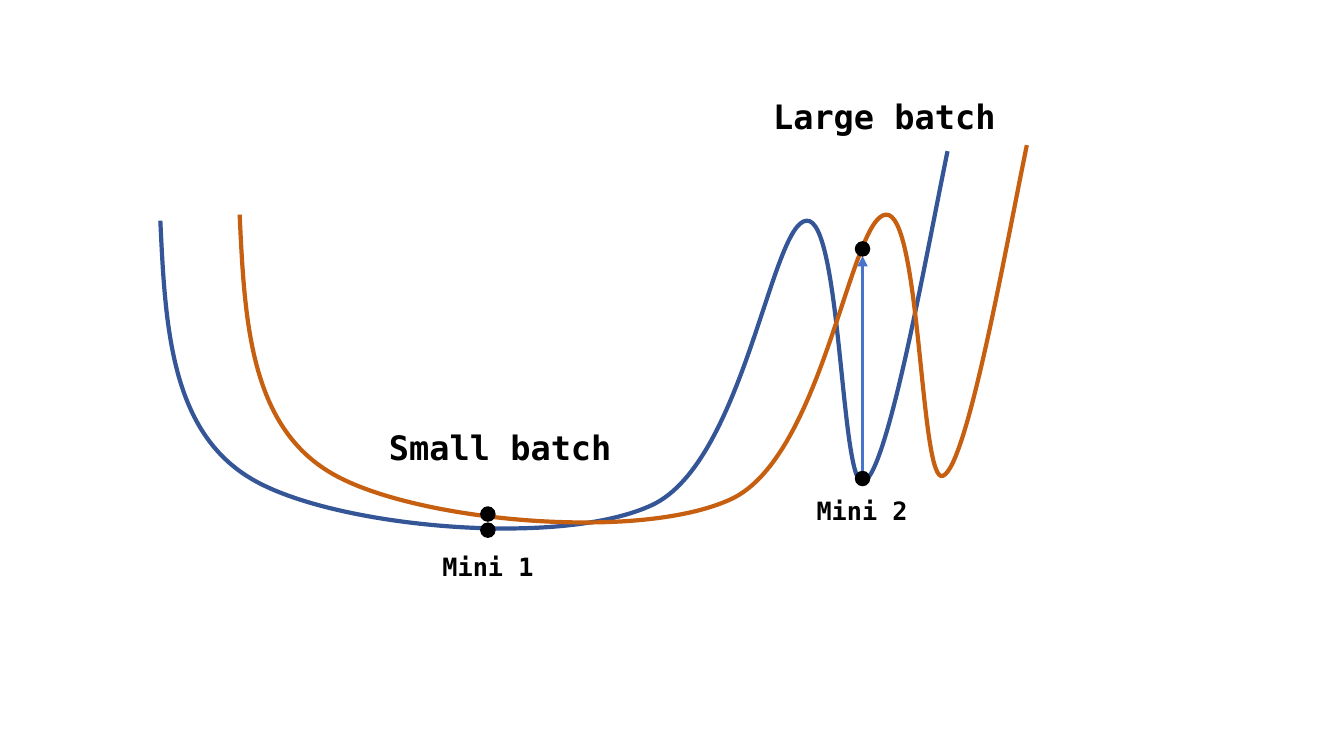
import dataclasses

import lxml.etree
import pptx
import pptx.dml.color
import pptx.enum.shapes
import pptx.enum.text
import pptx.oxml.ns
import pptx.util

WIDE, HIGH = pptx.util.Inches(13.33), pptx.util.Inches(7.5)
FONT = "DejaVu Sans Mono"
INK = {"blue": "355696", "rust": "C65F10", "arrow": "4874CB", "black": "000000"}

# Loss curve: start point, then two handles and an end point per section.
# All places are percent of the slide's width and height.
CURVE = [
    (11.93, 29.2),
    (12.3, 43.2), (12.68, 57.2), (18.83, 63.47),
    (24.9, 69.73), (41.63, 72.53), (48.53, 66.8),
    (55.35, 61.07), (57.38, 29.6), (60, 29.2),
    (62.63, 28.67), (62.55, 65.33), (64.28, 63.73),
    (66.08, 62.27), (68.93, 33.6), (70.5, 20),
]
FRAME = [(11.93, 20), (70.5, 69.87)]  # corners the curve fills


@dataclasses.dataclass
class Trace:
    ink: str
    dx: float
    dy: float


@dataclasses.dataclass
class Dot:
    x: float
    y: float


@dataclasses.dataclass
class Label:
    text: str
    left: float
    top: float
    wide: float
    high: float
    size: int


TRACES = [Trace("blue", 0, 0), Trace("rust", 5.9, -0.8)]
LOW, PEAK = Dot(64.18, 63.3), Dot(64.18, 32.93)
DOTS = [Dot(36.3, 70.13), LOW, Dot(36.3, 68)]
SIZE = 1.05  # dot diameter, percent of width
LABELS = [
    Label("Mini 1", 32.18, 72.25, 8.33, 5.33, 18),
    Label("Mini 2", 60.02, 64.88, 8.33, 5.33, 18),
    Label("Large batch", 56.78, 12.08, 18.15, 6.67, 24),
    Label("Small batch", 28.2, 55.87, 18.15, 6.67, 24),
]


def across(share: float) -> int:
    return round(WIDE * share / 100)


def down(share: float) -> int:
    return round(HIGH * share / 100)


def tint(name: str) -> pptx.dml.color.RGBColor:
    return pptx.dml.color.RGBColor.from_string(INK[name])


def stroke(line, name: str, width: float) -> None:
    line.color.rgb = tint(name)
    line.width = pptx.util.Pt(width)


def add_tag(parent, name: str, **attrs: str):
    return lxml.etree.SubElement(parent, pptx.oxml.ns.qn(name), attrs)


def place(trace: Trace, spots: list) -> list:
    return [(across(x + trace.dx), down(y + trace.dy)) for x, y in spots]


def bend(shape, knots: list) -> None:
    """Give the outline cubic sections through the knots."""
    route = next(shape.element.iter(pptx.oxml.ns.qn("a:path")))
    for child in list(route):
        route.remove(child)
    parts = [("a:moveTo", knots[:1])]
    parts += [("a:cubicBezTo", knots[i:i + 3]) for i in range(1, len(knots), 3)]
    for name, spots in parts:
        part = add_tag(route, name)
        for x, y in spots:
            add_tag(part, "a:pt", x=str(x - shape.left), y=str(y - shape.top))


def draw_trace(shapes, trace: Trace) -> None:
    start, end = place(trace, FRAME)
    pen = shapes.build_freeform(*start)
    pen.add_line_segments([end], close=False)
    shape = pen.convert_to_shape()
    bend(shape, place(trace, CURVE))
    shape.shadow.inherit = False
    shape.fill.background()
    stroke(shape.line, trace.ink, 3)


def draw_dot(shapes, dot: Dot) -> None:
    side = across(SIZE)
    shape = shapes.add_shape(
        pptx.enum.shapes.MSO_SHAPE.OVAL,
        across(dot.x) - side // 2, down(dot.y) - side // 2, side, side)
    shape.shadow.inherit = False
    shape.fill.solid()
    shape.fill.fore_color.rgb = tint("black")
    stroke(shape.line, "black", 1)


def draw_arrow(shapes, start: Dot, end: Dot) -> None:
    half = across(SIZE) // 2
    arrow = shapes.add_connector(
        pptx.enum.shapes.MSO_CONNECTOR.STRAIGHT,
        across(start.x), down(start.y) - half, across(end.x), down(end.y) + half)
    stroke(arrow.line, "arrow", 2.5)
    props = arrow.element.spPr
    add_tag(props.find(pptx.oxml.ns.qn("a:ln")), "a:tailEnd", type="triangle")
    add_tag(props, "a:effectLst")


def draw_label(shapes, label: Label) -> None:
    box = shapes.add_textbox(across(label.left), down(label.top),
                             across(label.wide), down(label.high))
    frame = box.text_frame
    frame.word_wrap = False
    frame.auto_size = pptx.enum.text.MSO_AUTO_SIZE.SHAPE_TO_FIT_TEXT
    para = frame.paragraphs[0]
    para.text = label.text
    para.font.name = FONT
    para.font.size = pptx.util.Pt(label.size)
    para.font.bold = True
    para.font.color.rgb = tint("black")


def main() -> None:
    deck = pptx.Presentation()
    deck.slide_width, deck.slide_height = WIDE, HIGH
    shapes = deck.slides.add_slide(deck.slide_layouts[6]).shapes

    # Loss curves
    for trace in TRACES:
        draw_trace(shapes, trace)

    # Minima
    for dot in DOTS:
        draw_dot(shapes, dot)

    # Jump from the sharp minimum
    draw_arrow(shapes, LOW, PEAK)
    draw_dot(shapes, PEAK)

    # Names
    for label in LABELS:
        draw_label(shapes, label)

    deck.save("out.pptx")


if __name__ == "__main__":
    main()
